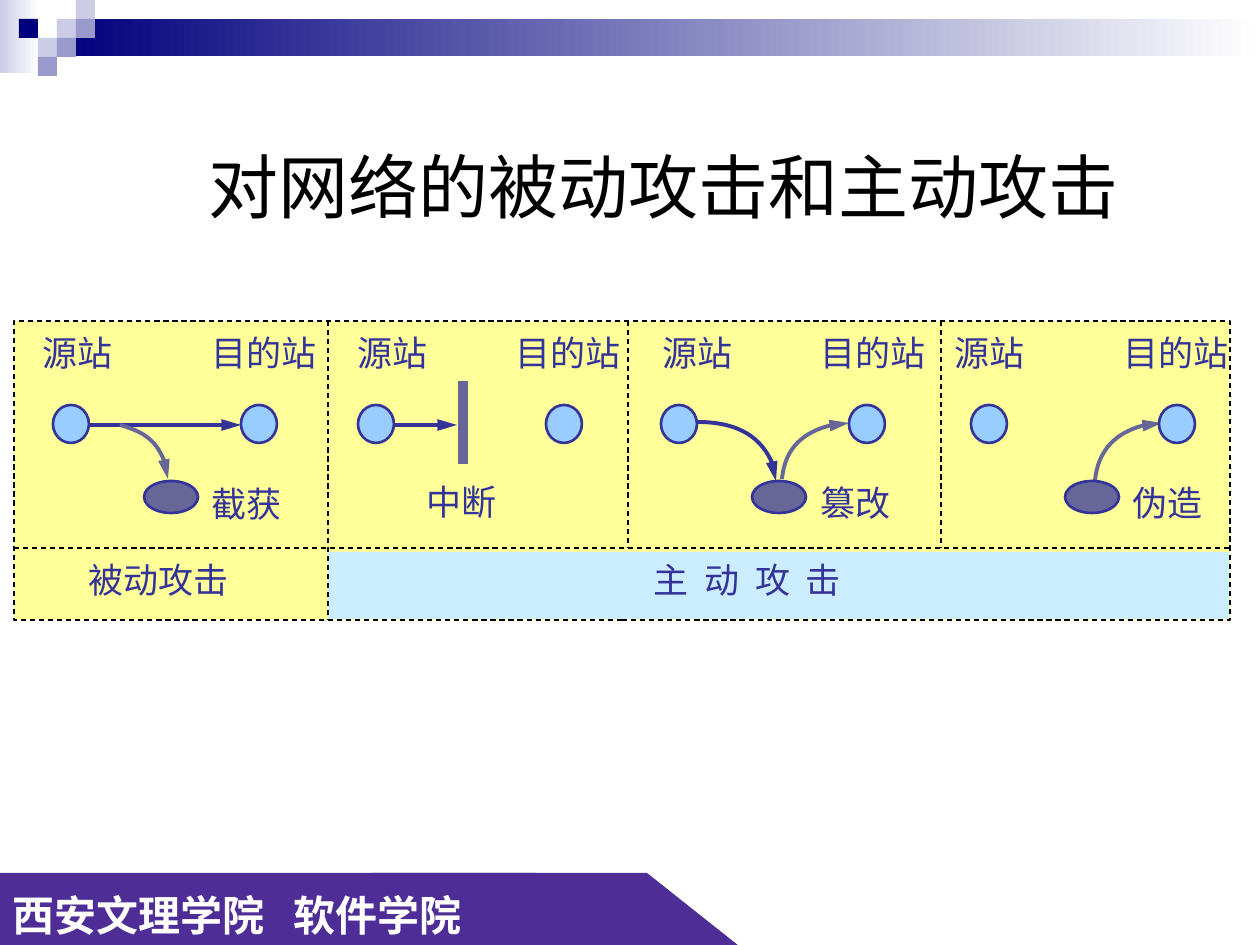
from lxml import etree
from pptx import Presentation
from pptx.dml.color import RGBColor
from pptx.enum import dml, shapes, text
from pptx.oxml.ns import qn
from pptx.util import Pt

PX = 914400 // 126
NAVY, INK, SLATE, SKY = "00007D", "333399", "666699", "99CCFF"
PALE, LILAC, PURPLE = "CCCCE6", "9999CC", "4E2E96"
RECTANGLE, OVAL = shapes.MSO_SHAPE.RECTANGLE, shapes.MSO_SHAPE.OVAL
color = RGBColor.from_string


def paint(shape, fill=None, line=None, width=0.75, dash=False, arrow=False):
    if fill:
        shape.fill.solid()
        shape.fill.fore_color.rgb = color(fill)
    if line:
        shape.line.color.rgb = color(line)
        shape.line.width = Pt(width)
    else:
        shape.line.fill.background()
    if dash:
        shape.line.dash_style = dml.MSO_LINE.DASH
    if arrow:
        etree.SubElement(shape.line._get_or_add_ln(), qn("a:tailEnd"), type="triangle", len="lg")
    etree.SubElement(shape._element.spPr, qn("a:effectLst"))


def write(paragraph, words, size, fill, bold=False):
    run = paragraph.add_run()
    run.text = words
    run.font.name = "Arial"
    run.font.size = Pt(size)
    run.font.bold = bold
    run.font.color.rgb = color(fill)
    return run


presentation = Presentation()
presentation.slide_width, presentation.slide_height = 1260 * PX, 945 * PX
slide = presentation.slides.add_slide(presentation.slide_layouts[5])
canvas = slide.shapes

slant = canvas.add_shape(shapes.MSO_SHAPE.PARALLELOGRAM, 372 * PX, 873 * PX, 367 * PX, 73 * PX)
slant.adjustments[0] = 1.26
slant._element.spPr.xfrm.set("flipV", "1")
paint(slant, PURPLE)

footer = canvas.add_shape(RECTANGLE, 0, 873 * PX, 536 * PX, 73 * PX)
paint(footer, PURPLE)
footer.text_frame.vertical_anchor = text.MSO_ANCHOR.MIDDLE
paragraph = footer.text_frame.paragraphs[0]
paragraph.alignment = text.PP_ALIGN.LEFT
paragraph.line_spacing = 1.2
tabs = etree.SubElement(paragraph._p.get_or_add_pPr(), qn("a:tabLst"))
etree.SubElement(tabs, qn("a:tab"), pos=str(281 * PX), algn="l")
write(paragraph, "西安文理学院\t软件学院", 24, "FFFFFF", True)

for box, start in [((0, 0, 39, 73), PALE), ((57, 19, 1203, 37), NAVY)]:
    band = canvas.add_shape(RECTANGLE, *[value * PX for value in box])
    band.fill.gradient()
    band.fill.gradient_angle = 0
    for stop, shade in zip(band.fill.gradient_stops, (start, "FFFFFF")):
        stop.color.rgb = color(shade)
    paint(band)

TILE = 19 * PX
for column, row, shade in [(3, 1, PALE), (4, 0, PALE), (4, 1, LILAC), (2, 2, PALE),
                           (1, 1, NAVY), (3, 2, LILAC), (2, 3, LILAC)]:
    tile = canvas.add_shape(RECTANGLE, column * TILE, row * TILE, TILE, TILE)
    paint(tile, shade)

title = canvas.title
title.left, title.top, title.width, title.height = 191 * PX, 128 * PX, 945 * PX, 106 * PX
title.text_frame.auto_size = text.MSO_AUTO_SIZE.NONE
title.text_frame.vertical_anchor = text.MSO_ANCHOR.BOTTOM
title.text_frame.paragraphs[0].alignment = text.PP_ALIGN.CENTER
write(title.text_frame.paragraphs[0], "对网络的被动攻击和主动攻击", 40, "000000")

panel = canvas.add_shape(RECTANGLE, 14 * PX, 321 * PX, 1216 * PX, 299 * PX)
paint(panel, "FFFF99", "000000", dash=True)
active_band = canvas.add_shape(RECTANGLE, 328 * PX, 552 * PX, 901 * PX, 67 * PX)
paint(active_band, "CCECFF")

for points, width, shade, dash, arrow in [
    ((90, 425, 241, 425), 2.25, INK, False, True),
    ((391, 425, 457, 425), 2.25, INK, False, True),
    ((463, 381, 463, 464), 6, SLATE, False, False),
    ((14, 548, 1230, 548), 0.75, "000000", True, False),
    ((328, 321, 328, 619), 0.75, "000000", True, False),
    ((628, 321, 628, 548), 0.75, "000000", True, False),
    ((941, 321, 941, 548), 0.75, "000000", True, False),
]:
    line = canvas.add_connector(shapes.MSO_CONNECTOR.STRAIGHT, *[value * PX for value in points])
    paint(line, None, shade, width, dash, arrow)

for shade, points in [
    (SLATE, [(120, 425), (149, 433), (168, 455), (168, 479)]),
    (INK, [(698, 422), (741, 422), (776, 449), (776, 481)]),
    (SLATE, [(782, 479), (785, 447), (814, 423), (849, 423)]),
    (SLATE, [(1095, 481), (1098, 449), (1126, 423), (1162, 423)]),
]:
    builder = canvas.build_freeform(*points[0], scale=PX)
    builder.add_line_segments(points[1:], close=False)
    curve = builder.convert_to_shape()
    segments = curve._element.xpath(".//a:lnTo")
    bezier = etree.SubElement(segments[0].getparent(), qn("a:cubicBezTo"))
    for segment in segments:
        bezier.append(segment[0])
        segment.getparent().remove(segment)
    curve.fill.background()
    paint(curve, None, shade, 2.25, arrow=True)

for source in (53, 358, 661, 971):
    for left in (source, source + 188):
        station = canvas.add_shape(OVAL, left * PX, 405 * PX, 36 * PX, 38 * PX)
        paint(station, SKY, INK, 1.5)
for left in (144, 752, 1065):
    attacker = canvas.add_shape(OVAL, left * PX, 481 * PX, 54 * PX, 32 * PX)
    paint(attacker, SLATE, INK, 1.5)

labels = [("截获", 199, 476, 100), ("中断", 414, 474, 100), ("篡改", 808, 475, 100), ("伪造", 1120, 475, 100),
          ("被动攻击", 76, 552, 172), ("主动攻击", 641, 552, 271)]
labels += [("源站", left, 325, 100) for left in (30, 345, 650, 942)]
labels += [("目的站", left, 325, 136) for left in (199, 503, 808, 1111)]
for words, left, top, width in labels:
    label = canvas.add_textbox(left * PX, top * PX, width * PX, 55 * PX)
    label.text_frame.word_wrap = True
    label.text_frame.auto_size = text.MSO_AUTO_SIZE.SHAPE_TO_FIT_TEXT
    run = write(label.text_frame.paragraphs[0], words, 20, INK)
    if words == "主动攻击":
        run.font._element.set("spc", "900")

presentation.save("out.pptx")
